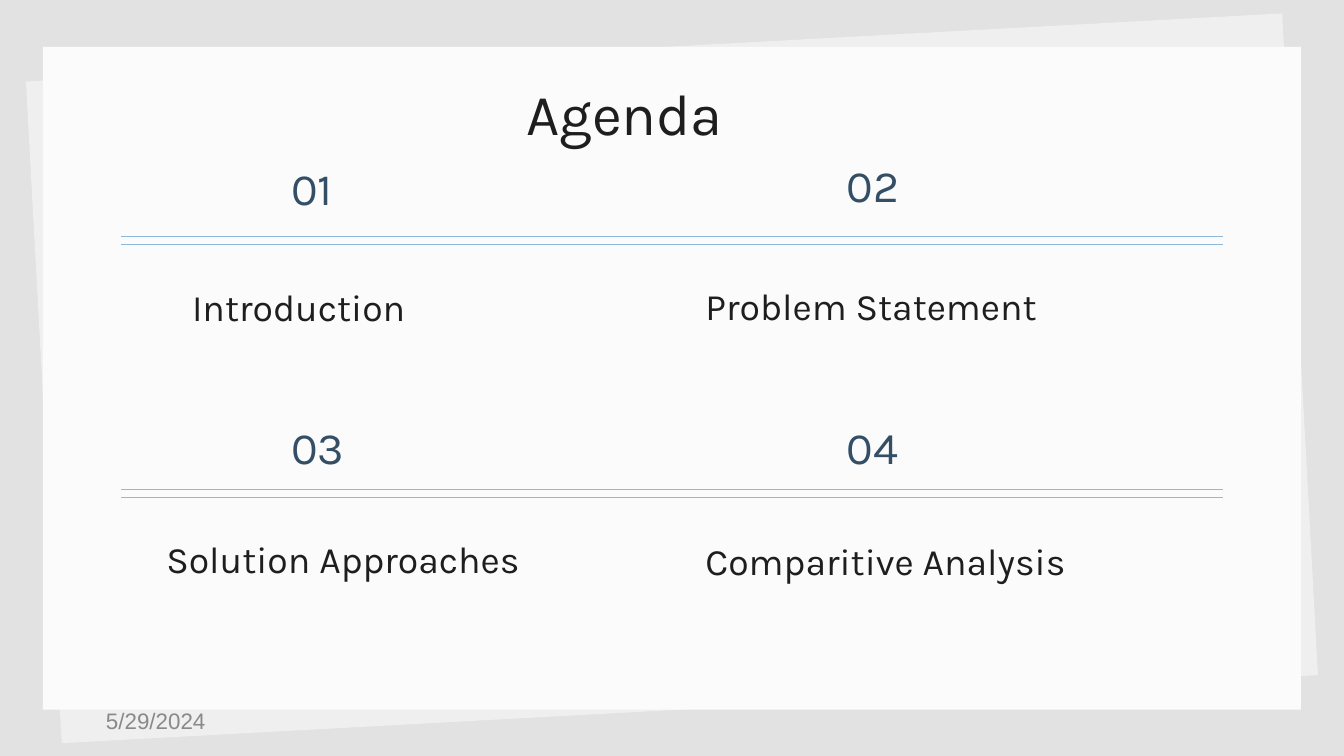
from lxml import etree
from pptx import Presentation
from pptx import util as u
from pptx.dml.color import RGBColor
from pptx.enum import shapes, text
from pptx.oxml.ns import qn

COLOURS = {
    "background": "E2E2E2",
    "back_sheet": "EFEFEF",
    "front_sheet": "FBFBFB",
    "ink": "1E1E1E",
    "number": "344E66",
    "rule": "90B8DB",
    "date": "898989",
}
SLIDE_WIDTH, SLIDE_HEIGHT = 720, 405
RULE_GAP = 4.3
NUMBER_SIZE = (57.6, 35.3)
LABEL_HEIGHT = 38.2

AGENDA_ROWS = [
    (126.7, [
        dict(number="01", number_at=(84.2, -43.9), label="Introduction", label_at=(31, 18.7), label_width=181.4),
        dict(number="02", number_at=(381.6, -45.3), label="Problem Statement", label_at=(306, 18), label_width=222.5),
    ]),
    (262.1, [
        dict(number="03", number_at=(84.2, -40.3), label="Solution Approaches", label_at=(17.2, 18), label_width=235),
        dict(number="04", number_at=(381.6, -40.3), label="Comparitive Analysis", label_at=(306, 19.4), label_width=239),
    ]),
]


def colour(name):
    return RGBColor.from_string(COLOURS[name])


def write_text(shape, words, size, ink="ink", font="Karla", anchor=text.MSO_ANCHOR.MIDDLE,
               align=text.PP_ALIGN.LEFT, line_spacing=1.0, inset_y=7.2):
    frame = shape.text_frame
    frame.word_wrap = True
    frame.auto_size = text.MSO_AUTO_SIZE.NONE
    frame.vertical_anchor = anchor
    frame.margin_left = frame.margin_right = u.Pt(7.2)
    frame.margin_top = frame.margin_bottom = u.Pt(inset_y)
    paragraph = frame.paragraphs[0]
    paragraph.alignment = align
    paragraph.line_spacing = line_spacing
    run = paragraph.add_run()
    run.text = words
    run.font.name = font
    run.font.size = u.Pt(size)
    run.font.color.rgb = colour(ink)


def add_text(slide, left, top, width, height, words, **text_format):
    shape = slide.shapes.add_textbox(u.Pt(left), u.Pt(top), u.Pt(width), u.Pt(height))
    write_text(shape, words, **text_format)


def add_paper_sheets(slide, left, top, width, height):
    for fill, rotation in (("back_sheet", 356.9), ("front_sheet", 0)):
        sheet = slide.shapes.add_shape(shapes.MSO_SHAPE.RECTANGLE,
                                       u.Pt(left), u.Pt(top), u.Pt(width), u.Pt(height))
        sheet.rotation = rotation
        sheet.shadow.inherit = False
        sheet.fill.solid()
        sheet.fill.fore_color.rgb = colour(fill)
        sheet.line.fill.background()


def place_title(slide, left, top, width, height):
    title = slide.shapes.title
    title.left, title.top, title.width, title.height = map(u.Pt, (left, top, width, height))
    write_text(title, "Agenda", size=31, anchor=text.MSO_ANCHOR.TOP, align=text.PP_ALIGN.CENTER)
    slide.shapes.element.append(title.element)


def add_double_rule(slide, left, top, width):
    for y in (top, top + RULE_GAP):
        rule = slide.shapes.add_connector(shapes.MSO_CONNECTOR.STRAIGHT,
                                          u.Pt(left), u.Pt(y), u.Pt(left + width), u.Pt(y))
        rule.line.color.rgb = colour("rule")
        rule.line.width = u.Pt(0.75)
        etree.SubElement(rule.element.spPr, qn("a:effectLst"))


def add_agenda_row(slide, left, top, width, entries):
    add_double_rule(slide, left, top, width)
    for entry in entries:
        x, y = entry["number_at"]
        add_text(slide, left + x, top + y, *NUMBER_SIZE, entry["number"], size=24, ink="number")
        x, y = entry["label_at"]
        add_text(slide, left + x, top + y, entry["label_width"], LABEL_HEIGHT, entry["label"],
                 size=20, anchor=text.MSO_ANCHOR.BOTTOM, line_spacing=1.15)


def add_date(slide, left, top, width, height):
    add_text(slide, left, top, width, height, "5/29/2024",
             size=12, ink="date", font="Arial", inset_y=3.6)


def main():
    presentation = Presentation()
    presentation.slide_width = u.Pt(SLIDE_WIDTH)
    presentation.slide_height = u.Pt(SLIDE_HEIGHT)
    slide = presentation.slides.add_slide(presentation.slide_layouts[5])
    slide.background.fill.solid()
    slide.background.fill.fore_color.rgb = colour("background")
    add_paper_sheets(slide, 23, 25.2, 674, 355)
    place_title(slide, 31, 34.6, 607, 45.4)
    for top, entries in AGENDA_ROWS:
        add_agenda_row(slide, 64.8, top, 590.4, entries)
    add_date(slide, 49.7, 375.1, 162, 21.6)
    presentation.save("out.pptx")


if __name__ == "__main__":
    main()
